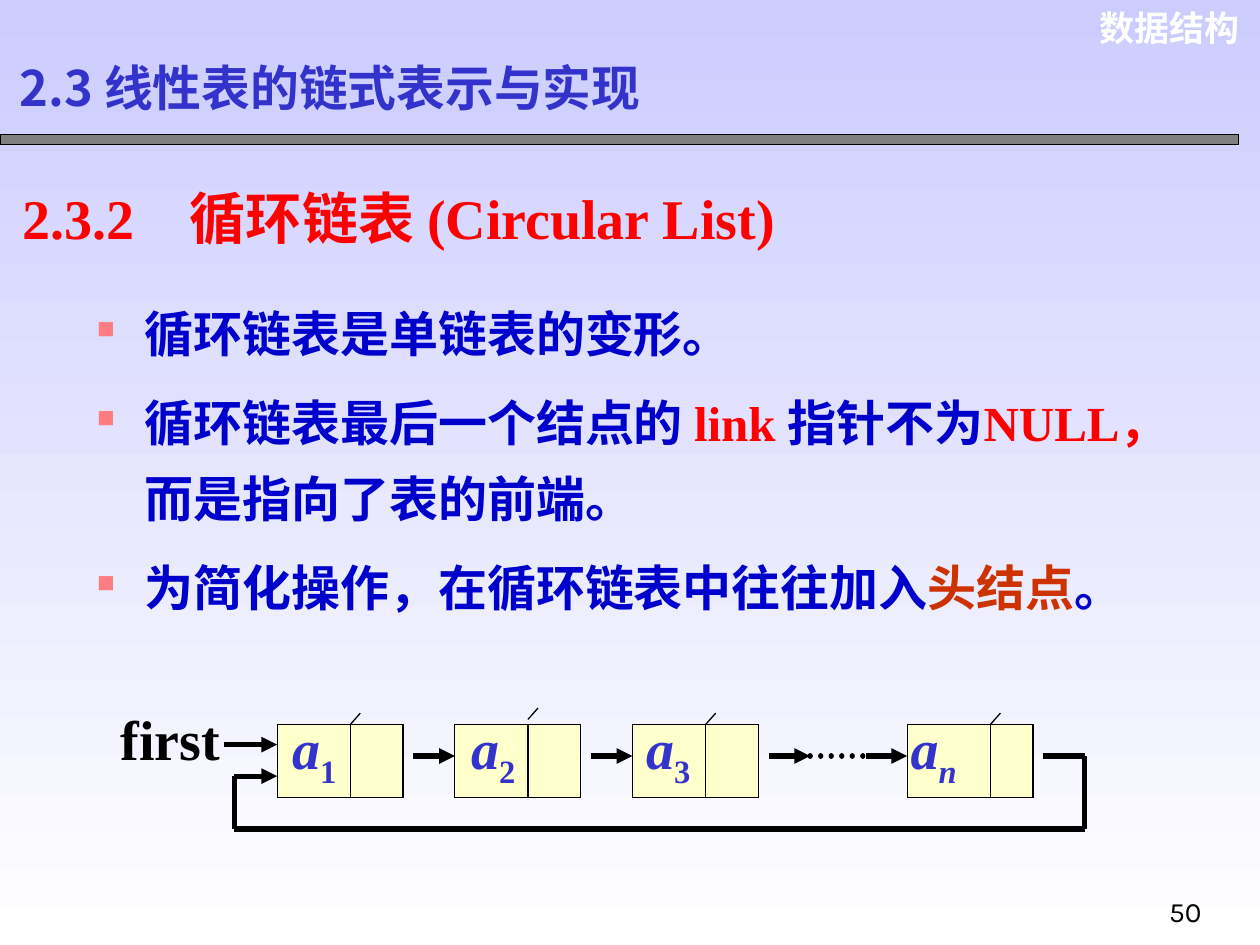
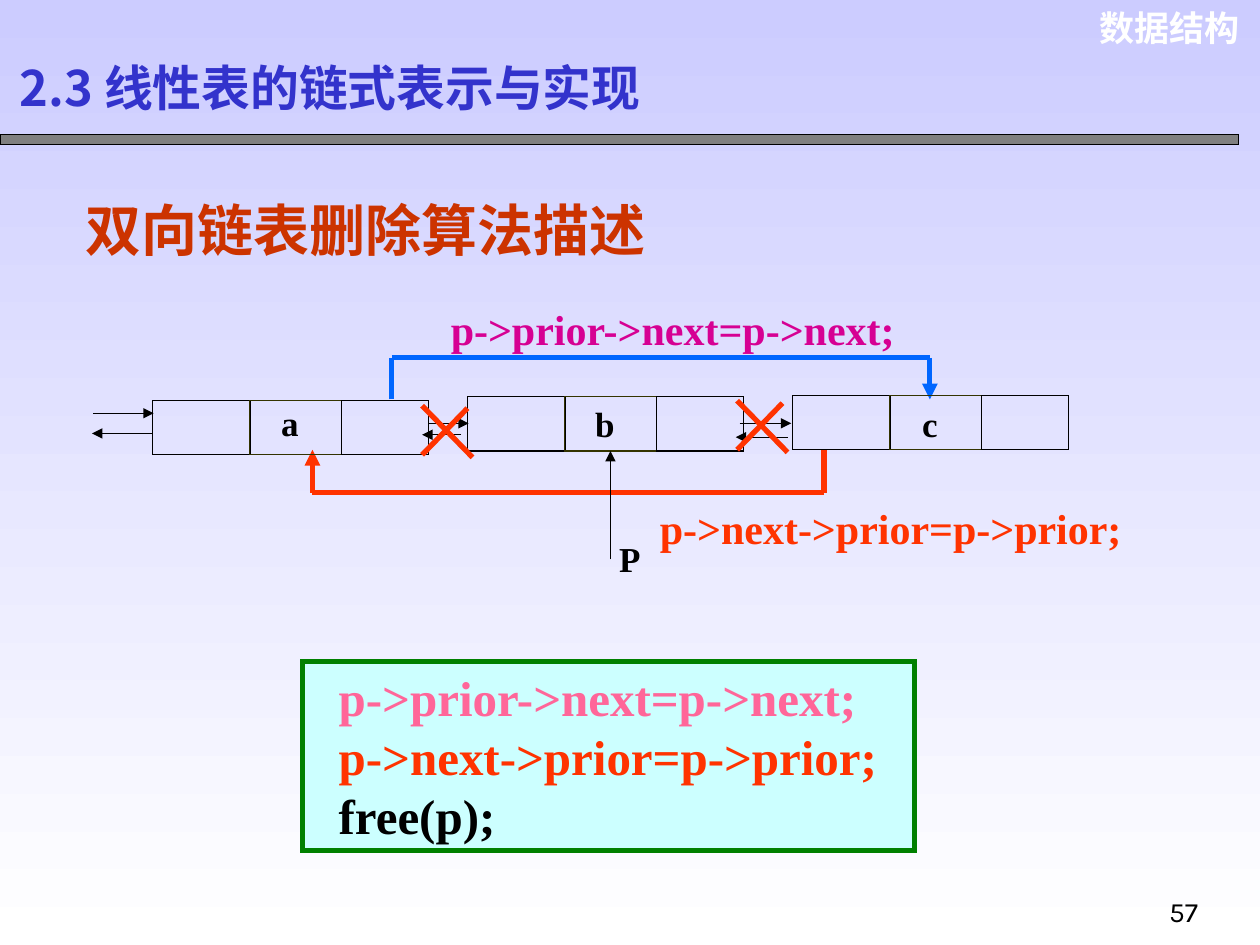
from itertools import pairwise

from lxml import etree
from pptx import Presentation
from pptx.dml.color import RGBColor
from pptx.enum.dml import MSO_LINE
from pptx.enum.shapes import MSO_CONNECTOR, MSO_SHAPE
from pptx.enum.text import MSO_ANCHOR, PP_ALIGN
from pptx.oxml.ns import qn
from pptx.util import Inches, Pt

STRAIGHT = MSO_CONNECTOR.STRAIGHT
RECTANGLE = MSO_SHAPE.RECTANGLE
DOTTED = MSO_LINE.ROUND_DOT
TOP, MIDDLE = MSO_ANCHOR.TOP, MSO_ANCHOR.MIDDLE
LEFT, CENTER, RIGHT = PP_ALIGN.LEFT, PP_ALIGN.CENTER, PP_ALIGN.RIGHT
BOTTOM_SIDE = 2

SERIF, CJK, SANS, NUMBER = "Times New Roman", "Noto Sans CJK SC", "Arial", "Karla"
COLORS = {
    "sky": "CCCCFF", "white": "FFFFFF", "black": "000000", "band": "808080",
    "chapter": "3333CC", "red": "FF0000", "body": "0000CC", "rust": "CC3300",
    "bullet": "FF7C80", "node": "FFFFCC", "olive": "333300", "next": "0066FF",
    "prior": "FF3300", "magenta": "D60093", "pink": "FF6699",
    "code_fill": "CCFFFF", "code_line": "008000",
}


def rgb(name):
    return RGBColor.from_string(COLORS[name])


def format_run(run, size, color, font=SERIF, bold=True):
    run.font.size = Pt(size)
    run.font.bold = bold
    run.font.name = font
    run.font.color.rgb = rgb(color)
    etree.SubElement(run._r.get_or_add_rPr(), qn("a:ea"), typeface=CJK)


def add_text(slide, box, text, size, color, font=SERIF, bold=True,
             align=LEFT, anchor=TOP):
    frame = slide.shapes.add_textbox(*map(Inches, box)).text_frame
    frame.word_wrap = True
    frame.vertical_anchor = anchor
    frame.text = text
    paragraph = frame.paragraphs[0]
    paragraph.alignment = align
    format_run(paragraph.runs[0], size, color, font, bold)
    return paragraph


def add_rect(slide, box, fill=None, line="black", width=0.75):
    rect = slide.shapes.add_shape(RECTANGLE, *map(Inches, box))
    rect.shadow.inherit = False
    if fill:
        rect.fill.solid()
        rect.fill.fore_color.rgb = rgb(fill)
    else:
        rect.fill.background()
    rect.line.color.rgb = rgb(line)
    rect.line.width = Pt(width)
    etree.SubElement(rect.line._get_or_add_ln(), qn("a:miter"), lim="800000")
    return rect


def add_line(slide, start, end, color="black", width=0.75, arrow=False):
    line = slide.shapes.add_connector(STRAIGHT, *map(Inches, (*start, *end)))
    line.line.color.rgb = rgb(color)
    line.line.width = Pt(width)
    if arrow:
        etree.SubElement(line.line._get_or_add_ln(), qn("a:tailEnd"), type="triangle")
    etree.SubElement(line._element.spPr, qn("a:effectLst"))
    return line


def add_route(slide, points, color="black"):
    for start, end in pairwise(points):
        add_line(slide, start, end, color, 3, arrow=end == points[-1])


def add_chapter_slide(deck, number):
    slide = deck.slides.add_slide(deck.slide_layouts[6])
    fill = slide.background.fill
    fill.gradient()
    fill.gradient_angle = 270
    for stop, color in zip(fill.gradient_stops, ("sky", "white")):
        stop.color.rgb = rgb(color)
    add_text(slide, (8.57, 0, 1.37, 0.44), "数据结构", 20, "white", SANS, align=RIGHT)
    add_rect(slide, (0, 1.07, 9.83, 0.08), "band")
    chapter = add_text(slide, (0.06, 0.44, 8.5, 0.58), "2.3 线性表的链式表示与实现",
                       27.9, "chapter", CJK, anchor=MIDDLE)
    chapter.line_spacing = 0.8
    add_text(slide, (9.18, 7.05, 0.75, 0.42), str(number), 16, "black", NUMBER, bold=False)
    return slide


def add_bullets(slide, box, points):
    frame = slide.shapes.add_textbox(*map(Inches, box)).text_frame
    frame.word_wrap = True
    for index, point in enumerate(points):
        paragraph = frame.add_paragraph() if index else frame.paragraphs[0]
        paragraph.line_spacing = 1.3
        paragraph.space_before = Pt(7)
        for text, color in point:
            run = paragraph.add_run()
            run.text = text
            format_run(run, 28, color)
        properties = paragraph._p.get_or_add_pPr()
        properties.set("marL", str(Inches(0.38)))
        properties.set("indent", str(Inches(-0.38)))
        bullet_color = etree.SubElement(properties, qn("a:buClr"))
        etree.SubElement(bullet_color, qn("a:srgbClr"), val=COLORS["bullet"])
        etree.SubElement(properties, qn("a:buSzPct"), val="50000")
        etree.SubElement(properties, qn("a:buChar"), char="■")


def add_ring_node(slide, left, top, index, divider, label_shift, tick_lift):
    add_rect(slide, (left, top, 1, 0.58), "node")
    x = left + divider
    add_line(slide, (x, top), (x, top + 0.58))
    add_line(slide, (x, top - tick_lift), (x + 0.08, top - tick_lift - 0.09))
    label = add_text(slide, (left + label_shift, top - 0.14, 0.8, 0.71), "a", 32, "chapter")
    subscript = label.add_run()
    subscript.text = index
    format_run(subscript, 32, "chapter")
    subscript.font._element.set("baseline", "-25000")
    label.runs[0].font.italic = True
    subscript.font.italic = index == "n"


def add_circular_list(slide, left, top):
    pitch, last = 1.41, left + 6.34
    nodes = [left + 1.34 + pitch * i for i in range(3)]
    details = [("1", 0.58, 0.02, 0), ("2", 0.58, 0.03, 0.04),
               ("3", 0.58, 0.01, 0), ("n", 0.66, -0.07, 0)]
    for x, detail in zip(nodes + [last], details):
        add_ring_node(slide, x, top, *detail)
    add_text(slide, (left, top - 0.21, 1.1, 0.64), "first", 32, "black")

    link_y = top + 0.25
    add_line(slide, (left + 0.92, top + 0.16), (nodes[0], top + 0.16), width=3, arrow=True)
    for tip in [x + pitch for x in nodes] + [last]:
        add_line(slide, (tip - 0.33, link_y), (tip, link_y), width=3, arrow=True)
    gap_start = nodes[-1] + pitch
    gap = add_line(slide, (gap_start, link_y), (gap_start + 0.5, link_y), width=3)
    gap.line.dash_style = DOTTED
    gap.line._get_or_add_ln().set("cap", "rnd")

    right, turn, bottom, entry = last + 1.41, left + 1, top + 0.83, top + 0.41
    add_route(slide, [(last + 1.08, link_y), (right, link_y), (right, bottom),
                      (turn, bottom), (turn, entry), (nodes[0], entry)])


def add_double_node(slide, left, top, label, label_lift):
    add_rect(slide, (left, top, 0.78, 0.43))
    data = add_rect(slide, (left + 0.77, top, 0.73, 0.43), line="olive")
    add_rect(slide, (left + 1.5, top, 0.69, 0.43))
    add_text(slide, (left + 0.84, top - label_lift, 0.5, 0.44), label, 20, "black",
             align=CENTER, anchor=MIDDLE)
    return data


def add_cross(slide, left, top):
    add_line(slide, (left + 0.36, top + 0.02), (left, top + 0.39), "prior", 3)
    add_line(slide, (left, top), (left + 0.4, top + 0.41), "prior", 3)


def add_deletion_diagram(slide, left, top):
    def at(x, y):
        return left + x, top + y

    add_route(slide, [at(2.38, 0.81), at(2.38, 0.48), at(6.65, 0.48), at(6.65, 0.81)], "next")
    add_route(slide, [at(5.81, 1.21), at(5.81, 1.55), at(1.75, 1.55), at(1.75, 1.21)], "prior")
    cells = {"a": (0.48, 0.82, 0.05), "b": (2.98, 0.79, 0.01), "c": (5.56, 0.78, 0)}
    data = {name: add_double_node(slide, *at(x, y), name, lift)
            for name, (x, y, lift) in cells.items()}

    links = [((0.01, 0.92), (0.49, 0.92)), ((0.48, 1.08), (0, 1.08)),
             ((2.67, 1), (2.99, 1)), ((2.93, 1.09), (2.62, 1.09)),
             ((5.14, 1), (5.55, 1)), ((5.52, 1.11), (5.11, 1.11))]
    for start, end in links:
        add_line(slide, at(*start), at(*end), arrow=True)
    for place in ((2.62, 0.86), (5.12, 0.82)):
        add_cross(slide, *at(*place))

    pointer = add_line(slide, at(4.11, 2.08), at(4.11, 1.22), arrow=True)
    pointer.end_connect(data["b"], BOTTOM_SIDE)
    pointer.begin_x = pointer.end_x
    add_text(slide, (*at(4.02, 1.85), 0.5, 0.44), "P", 20, "black",
             align=CENTER, anchor=MIDDLE)
    for place, code, color in (
            ((2.51, 0), "p->prior->next=p->next;", "magenta"),
            ((4.24, 1.58), "p->next->prior=p->prior;", "prior")):
        add_text(slide, (*at(*place), 4.2, 0.5), code, 24, color,
                 align=CENTER, anchor=MIDDLE)


def add_code_panel(slide, box, statements):
    frame = add_rect(slide, box, "code_fill", "code_line", 3).text_frame
    frame.word_wrap = True
    frame.vertical_anchor = MIDDLE
    frame.text = "\n".join(code for code, _ in statements)
    for paragraph, (_, color) in zip(frame.paragraphs, statements):
        paragraph.alignment = LEFT
        paragraph._p.get_or_add_pPr().set("marL", str(Inches(0.19)))
        format_run(paragraph.runs[0], 28, color)


def build_circular_list_slide(deck):
    slide = add_chapter_slide(deck, 50)
    heading = add_text(slide, (0.08, 1.42, 6.94, 0.61), "2.3.2\t循环链表 (Circular List)",
                       32, "red", anchor=MIDDLE)
    tabs = etree.SubElement(heading._p.get_or_add_pPr(), qn("a:tabLst"))
    etree.SubElement(tabs, qn("a:tab"), pos=str(Inches(1.33)), algn="l")
    add_bullets(slide, (0.67, 2.22, 9.08, 4.75), [
        [("循环链表是单链表的变形。", "body")],
        [("循环链表最后一个结点的 ", "body"), ("link ", "red"), ("指针不为", "body"),
         ("NULL，", "red"), ("而是指向了表的前端。", "body")],
        [("为简化操作，在循环链表中往往加入", "body"), ("头结点", "rust"), ("。", "body")],
    ])
    add_circular_list(slide, 0.86, 5.75)


def build_deletion_slide(deck):
    slide = add_chapter_slide(deck, 57)
    add_text(slide, (0.58, 1.53, 8.5, 0.58), "双向链表删除算法描述", 32, "rust", anchor=MIDDLE)
    add_deletion_diagram(slide, 0.73, 2.36)
    add_code_panel(slide, (2.4, 5.25, 4.86, 1.5), [
        ("p->prior->next=p->next;", "pink"),
        ("p->next->prior=p->prior;", "prior"),
        ("free(p);", "black"),
    ])


def main():
    deck = Presentation()
    deck.slide_width, deck.slide_height = Inches(10), Inches(7.5)
    build_circular_list_slide(deck)
    build_deletion_slide(deck)
    deck.save("out.pptx")


if __name__ == "__main__":
    main()
